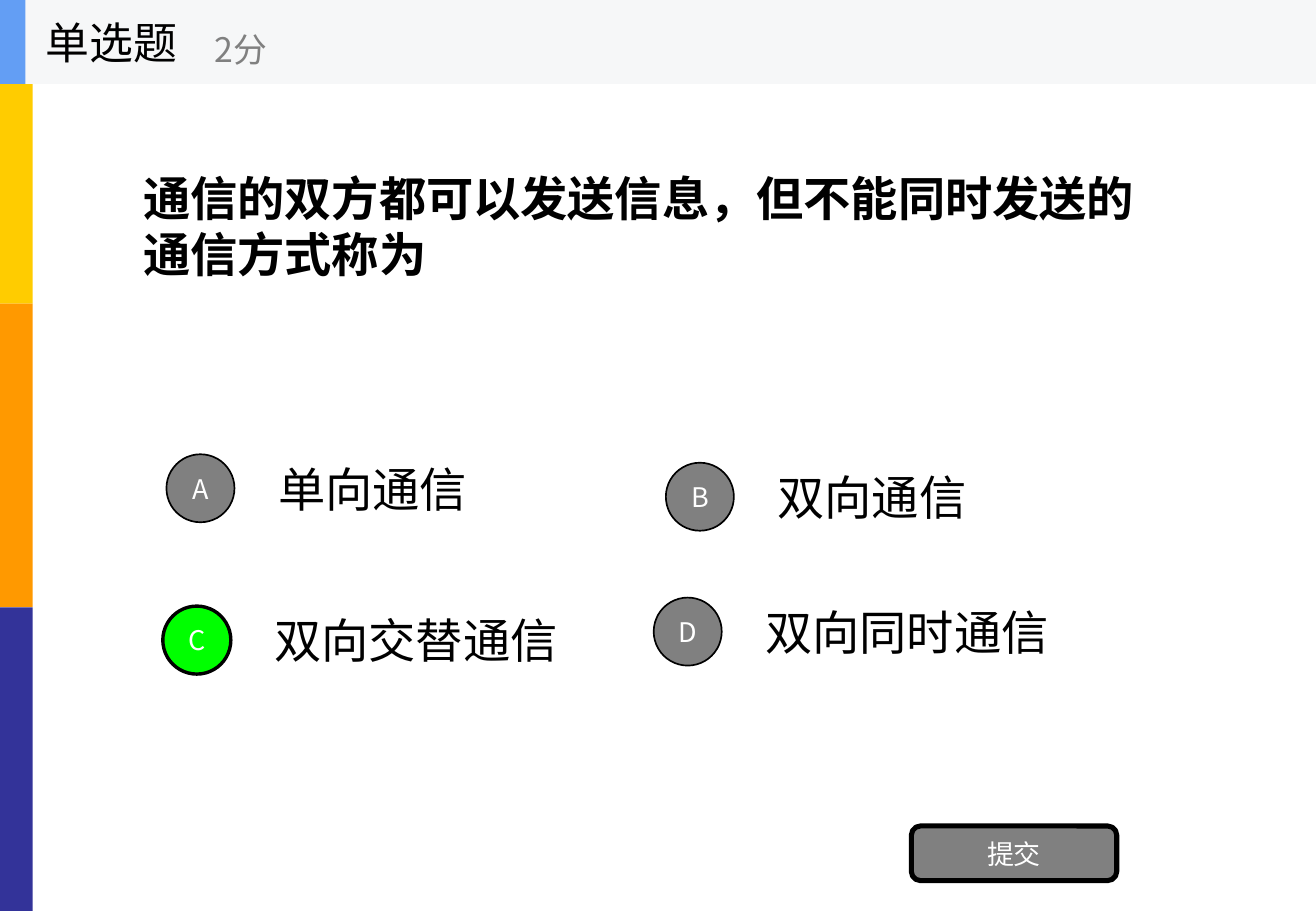
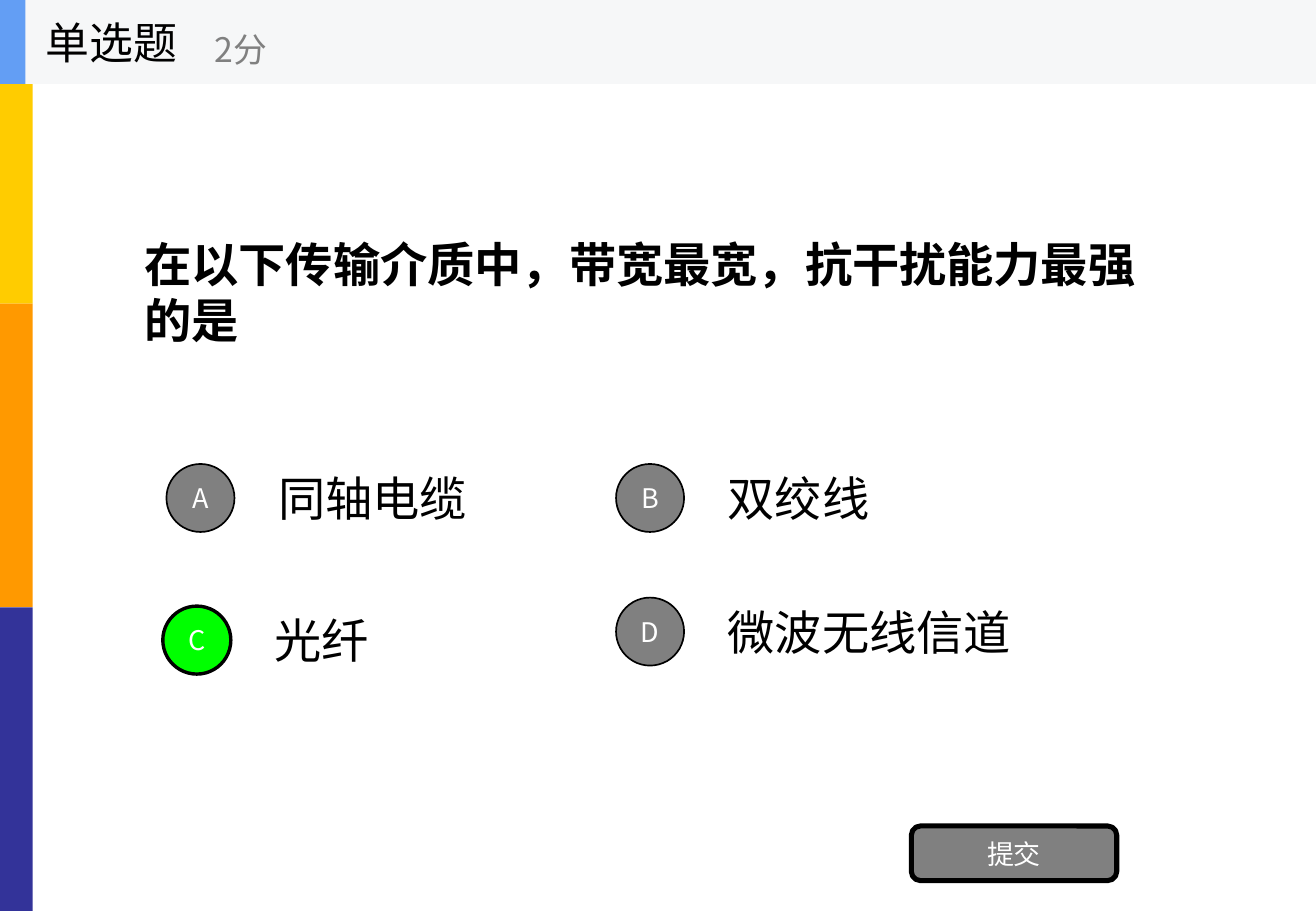
"""Build two single-choice quiz slides on data communication."""
import pptx
import pptx.util
from lxml import etree
from pptx.dml.color import RGBColor
from pptx.enum.shapes import MSO_SHAPE
from pptx.enum.text import MSO_ANCHOR, PP_ALIGN
from pptx.oxml.ns import qn
from pptx.util import Inches, Pt

COLORS = {
    "black": "000000", "white": "FFFFFF", "gray": "808080", "correct": "00FF00",
    "yellow": "FFCC00", "orange": "FF9900", "indigo": "333399",
    "header": "F6F7F8", "accent": "639EF4",
}
LATIN, CJK = "Arial", "Noto Sans CJK SC"
WIDTH, HEIGHT = 10.83, 7.5
HEADER_HEIGHT = 0.69
STRIPES = ["yellow", "orange", "indigo"]
BADGE = 0.56
ANSWER_OFFSET = (0.82, -0.07)
ANSWER_SIZE = (3.25, 0.7)

QUESTIONS = [
    {
        "text": "通信的双方都可以发送信息，但不能同时发送的通信方式称为",
        "at": (1.08, 0.69),
        "options": [
            ("A", "单向通信", 1.37, 3.74),
            ("B", "双向通信", 5.48, 3.81),
            ("C", "双向交替通信", 1.34, 4.99),
            ("D", "双向同时通信", 5.38, 4.92),
        ],
        "answer": "C",
    },
    {
        "text": "在以下传输介质中，带宽最宽，抗干扰能力最强的是",
        "at": (1.09, 1.23),
        "options": [
            ("A", "同轴电缆", 1.37, 3.82),
            ("B", "双绞线", 5.07, 3.82),
            ("C", "光纤", 1.34, 4.99),
            ("D", "微波无线信道", 5.07, 4.92),
        ],
        "answer": "C",
    },
]


def color(name):
    return RGBColor.from_string(COLORS[name])


def write(shape, text, size, ink="black", face=CJK, bold=False):
    frame = shape.text_frame
    frame.word_wrap = True
    frame.vertical_anchor = MSO_ANCHOR.MIDDLE
    paragraph = frame.paragraphs[0]
    paragraph.text = text
    font = paragraph.font
    font.size, font.bold, font.name = Pt(size), bold, face
    font.color.rgb = color(ink)
    defaults = paragraph._p.pPr.find(qn("a:defRPr"))
    etree.SubElement(defaults, qn("a:ea")).set("typeface", CJK)
    return paragraph


def add_text(slide, box, text, size, **style):
    label = slide.shapes.add_textbox(*map(Inches, box))
    return write(label, text, size, **style)


def add_block(slide, kind, box, fill, line_width=0):
    block = slide.shapes.add_shape(kind, *map(Inches, box))
    block.shadow.inherit = False
    block.fill.solid()
    block.fill.fore_color.rgb = color(fill)
    if line_width:
        block.line.color.rgb = color("black")
        block.line.width = Pt(line_width)
    else:
        block.line.fill.background()
    return block


def add_button(slide, kind, box, fill, line_width, text):
    button = add_block(slide, kind, box, fill, line_width)
    frame = button.text_frame
    frame.margin_left = frame.margin_right = 0
    frame.margin_top = frame.margin_bottom = 0
    write(button, text, 16, ink="white").alignment = PP_ALIGN.CENTER


def add_stripes(slide):
    height = HEIGHT / len(STRIPES)
    for row, fill in enumerate(STRIPES):
        add_block(slide, MSO_SHAPE.RECTANGLE, (0, row * height, 0.27, height), fill)


def add_header(slide):
    for width, fill in ((WIDTH, "header"), (0.21, "accent")):
        add_block(slide, MSO_SHAPE.RECTANGLE, (0, 0, width, HEADER_HEIGHT), fill)
    add_text(slide, (0.28, 0, 2.08, HEADER_HEIGHT), "单选题", 26)
    add_text(slide, (1.67, 0.12, 2.5, 0.56), "2分", 20, ink="gray")


def add_option(slide, letter, text, left, top, correct):
    dx, dy = ANSWER_OFFSET
    add_text(slide, (left + dx, top + dy, *ANSWER_SIZE), text, 28, face=LATIN)
    fill, line_width = ("correct", 2) if correct else ("gray", 1)
    add_button(slide, MSO_SHAPE.OVAL, (left, top, BADGE, BADGE), fill, line_width, letter)


def add_question(deck, question):
    slide = deck.slides.add_slide(deck.slide_layouts[6])
    add_stripes(slide)
    prompt = add_text(slide, (*question["at"], 8.67, 2.34), question["text"], 28,
                      face=LATIN, bold=True)
    prompt.line_spacing = Pt(33.5)
    for letter, text, left, top in question["options"]:
        add_option(slide, letter, text, left, top, letter == question["answer"])
    add_button(slide, MSO_SHAPE.ROUNDED_RECTANGLE, (7.5, 6.8, 1.69, 0.45), "gray", 3, "提交")
    add_header(slide)


def main():
    deck = pptx.Presentation()
    deck.slide_width, deck.slide_height = Inches(WIDTH), Inches(HEIGHT)
    for question in QUESTIONS:
        add_question(deck, question)
    deck.save("out.pptx")


if __name__ == "__main__":
    main()
